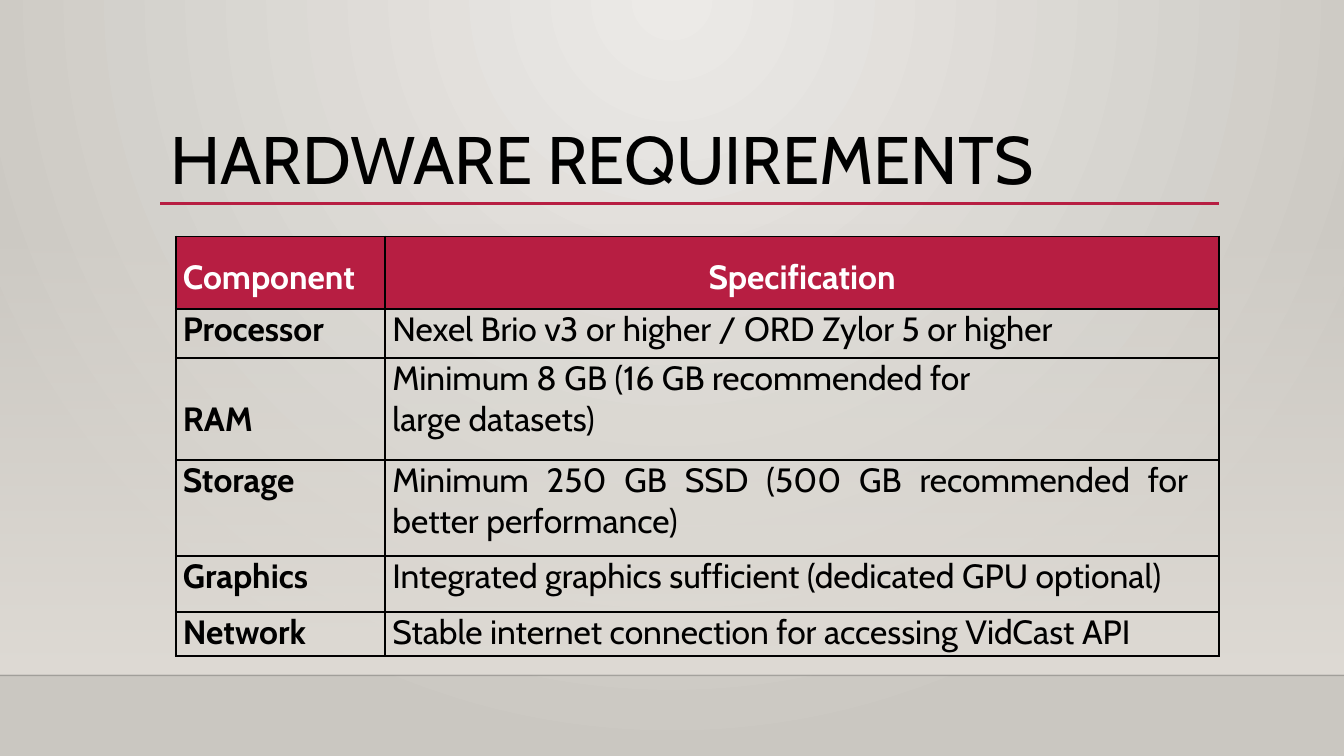
from dataclasses import dataclass

from lxml import etree
from pptx import Presentation
from pptx import util as u
from pptx.dml.color import RGBColor
from pptx.enum import shapes, text
from pptx.oxml import ns

ALIGN = text.PP_ALIGN


@dataclass(frozen=True)
class Theme:
    font: str = "Cabin"
    ink: str = "000000"
    paper: str = "FFFFFF"
    accent: str = "B71E42"
    glow: str = "ECEAE7"
    edge: str = "CAC7C1"
    wall: str = "DFDBD5"
    title_size: int = 48
    body_size: int = 24
    border: float = 1.5


def add_element(parent, tag, **attributes):
    return etree.SubElement(parent, ns.qn(tag), attributes)


def write_text(frame, lines, font, size, color, bold=False,
               align=ALIGN.LEFT, spacing=1.0):
    """Write each line as a paragraph of the frame."""
    for index, line in enumerate(lines.split("\n")):
        paragraph = frame.paragraphs[0] if index == 0 else frame.add_paragraph()
        paragraph.alignment = align
        paragraph.line_spacing = spacing
        run = paragraph.add_run()
        run.text = line
        run.font.name = font
        run.font.size = u.Pt(size)
        run.font.bold = bold
        run.font.color.rgb = RGBColor.from_string(color)


class SlideBuilder:
    def __init__(self, slide, theme):
        self.slide = slide
        self.theme = theme

    def gradient(self, fill, colors):
        fill.gradient()
        for stop, color in zip(fill.gradient_stops, colors):
            stop.color.rgb = RGBColor.from_string(color)

    def background(self):
        """Radial glow from the top centre."""
        self.gradient(self.slide.background.fill, (self.theme.glow, self.theme.edge))
        gradient = next(self.slide.element.iter(ns.qn("a:gradFill")))
        gradient.remove(gradient.find(ns.qn("a:lin")))
        circle = add_element(gradient, "a:path", path="circle")
        add_element(circle, "a:fillToRect", l="43000", t="0", r="43000", b="100000")

    def fading_panel(self, left, top, width, height):
        panel = self.slide.shapes.add_shape(
            shapes.MSO_SHAPE.RECTANGLE, *map(u.Cm, (left, top, width, height)))
        panel.shadow.inherit = False
        panel.line.fill.background()
        self.gradient(panel.fill, (self.theme.wall, self.theme.wall))
        panel.fill.gradient_angle = 270
        first_color = next(panel.element.iter(ns.qn("a:srgbClr")))
        add_element(first_color, "a:alpha", val="0")

    def rule(self, left, right, y, color, width, opacity=100):
        line = self.slide.shapes.add_connector(
            shapes.MSO_CONNECTOR.STRAIGHT, *map(u.Cm, (left, y, right, y)))
        line.line.color.rgb = RGBColor.from_string(color)
        line.line.width = u.Pt(width)
        if opacity < 100:
            line_color = next(line.element.iter(ns.qn("a:srgbClr")))
            add_element(line_color, "a:alpha", val=str(opacity * 1000))
        add_element(line.element.spPr, "a:effectLst")

    def title(self, words, left, top, width, height):
        box = self.slide.shapes.add_textbox(*map(u.Cm, (left, top, width, height)))
        box.text_frame.word_wrap = True
        write_text(box.text_frame, words, self.theme.font, self.theme.title_size,
                   self.theme.ink, spacing=0.9)

    def borders(self, cell):
        properties = cell._tc.get_or_add_tcPr()
        for position, side in enumerate(("a:lnL", "a:lnR", "a:lnT", "a:lnB")):
            line = etree.Element(ns.qn(side), w=str(u.Pt(self.theme.border)))
            fill = add_element(line, "a:solidFill")
            add_element(fill, "a:srgbClr", val=self.theme.ink)
            properties.insert(position, line)

    def cell(self, cell, words, header, column):
        cell.margin_left = cell.margin_right = u.Cm(0.18)
        cell.margin_top = cell.margin_bottom = 0
        if header:
            cell.fill.solid()
            cell.fill.fore_color.rgb = RGBColor.from_string(self.theme.accent)
        else:
            cell.fill.background()
        self.borders(cell)
        write_text(cell.text_frame, words, self.theme.font, self.theme.body_size,
                   self.theme.paper if header else self.theme.ink,
                   bold=header or column == 0,
                   align=ALIGN.CENTER if header and column else ALIGN.JUSTIFY,
                   spacing=1.5 if header else 1.0)

    def table(self, rows, left, top, widths, heights):
        frame = self.slide.shapes.add_table(
            len(rows), len(widths),
            *map(u.Cm, (left, top, sum(widths), sum(heights))))
        table = frame.table
        for column, width in zip(table.columns, widths):
            column.width = u.Cm(width)
        for row, height in zip(table.rows, heights):
            row.height = u.Cm(height)
        for row_index, row in enumerate(rows):
            for column_index, words in enumerate(row):
                self.cell(table.cell(row_index, column_index), words,
                          row_index == 0, column_index)
        return table


REQUIREMENTS = [
    ("Component", "Specification"),
    ("Processor", "Nexel Brio v3 or higher / ORD Zylor 5 or higher"),
    ("RAM", "Minimum 8 GB (16 GB recommended for\nlarge datasets)"),
    ("Storage", "Minimum 250 GB SSD (500 GB recommended for better performance)"),
    ("Graphics", "Integrated graphics sufficient (dedicated GPU optional)"),
    ("Network", "Stable internet connection for accessing VidCast API"),
]


def main():
    presentation = Presentation()
    presentation.slide_width = u.Cm(33.87)
    presentation.slide_height = u.Cm(19.05)
    slide = presentation.slides.add_slide(presentation.slide_layouts[6])
    theme = Theme()
    builder = SlideBuilder(slide, theme)

    # Backdrop: wall fading in down to the floor line
    builder.background()
    builder.fading_panel(0, 5.61, 33.87, 11.4)
    builder.rule(0, 33.87, 17.02, theme.ink, 1, opacity=20)

    # Heading
    builder.rule(4.04, 30.73, 5.13, theme.accent, 2.5)
    builder.title("HARDWARE REQUIREMENTS", 4.04, 3.05, 26.67, 2.92)

    # Requirements table
    table = builder.table(REQUIREMENTS, 4.43, 5.96, (5.28, 21.01),
                          (1.83, 1.24, 2.57, 2.42, 1.4, 1.12))
    table.cell(2, 0).margin_top = u.Cm(1.03)  # RAM sits on the second line
    table.cell(3, 1).margin_right = u.Cm(0.78)  # storage text ends early

    presentation.save("out.pptx")


if __name__ == "__main__":
    main()
